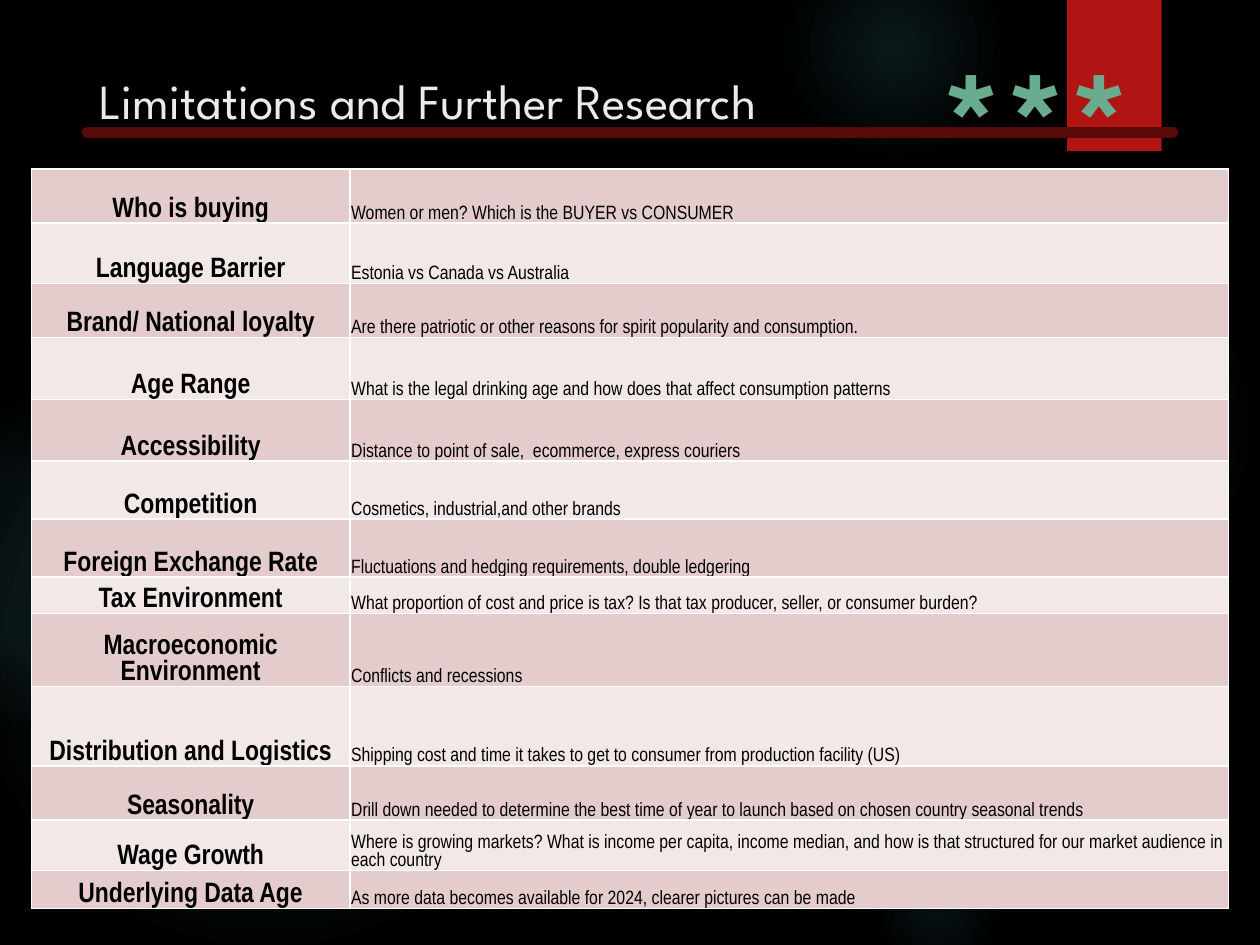
from lxml.etree import SubElement
from pptx import Presentation
from pptx.dml.color import RGBColor
from pptx.enum.shapes import MSO_CONNECTOR, MSO_SHAPE
from pptx.enum.text import MSO_ANCHOR, PP_ALIGN
from pptx.oxml import parse_xml
from pptx.oxml.ns import nsdecls, qn
from pptx.util import Inches, Pt

COLORS = {
    "background": "000000", "glow": "50B9C1", "ribbon": "B01513",
    "rule": "580A09", "title": "EBEBEB", "stars": "6AAC90",
    "odd": "E4CCCC", "even": "F2E8E7", "text": "000000", "border": "FFFFFF",
}
HEADING_FONT, TABLE_FONT = "League Spartan", "Arial Narrow"
WIDTH, HEIGHT = 10, 7.5
MARGIN, TABLE_TOP = 0.25, 1.34
RULE_INSET, RULE_Y = 0.69, 1.05
TOPIC_SHARE = 0.266

# left, top, diameter, then (position, opacity) stops in percent
GLOWS = [
    (6.89, 1.83, 3.08, [(0, 7), (36, 6), (69, 0)]),
    (6.22, -0.5, 1.75, [(0, 14), (36, 7), (73, 0)]),
    (6.89, 6.67, 1.08, [(0, 9), (36, 5), (66, 0)]),
    (-0.17, 2.92, 4.58, [(0, 11), (36, 10), (75, 0)]),
    (-0.92, 3.17, 2.58, [(0, 8), (36, 8), (72, 0)]),
]

# topic, question, row height
LIMITATIONS = [
    ("Who is buying", "Women or men? Which is the BUYER vs CONSUMER", 0.43),
    ("Language Barrier", "Estonia vs Canada vs Australia", 0.48),
    ("Brand/ National loyalty",
     "Are there patriotic or other reasons for spirit popularity and consumption.", 0.43),
    ("Age Range",
     "What is the legal drinking age and how does that affect consumption patterns", 0.49),
    ("Accessibility", "Distance to point of sale,  ecommerce, express couriers", 0.49),
    ("Competition", "Cosmetics, industrial,and other brands", 0.46),
    ("Foreign Exchange Rate", "Fluctuations and hedging requirements, double ledgering", 0.46),
    ("Tax Environment",
     "What proportion of cost and price is tax? Is that tax producer, seller, "
     "or consumer burden?", 0.29),
    ("Macroeconomic Environment", "Conflicts and recessions", 0.58),
    ("Distribution and Logistics",
     "Shipping cost and time it takes to get to consumer from production facility (US)", 0.63),
    ("Seasonality",
     "Drill down needed to determine the best time of year to launch based on "
     "chosen country seasonal trends", 0.43),
    ("Wage Growth",
     "Where is growing markets? What is income per capita, income median, and how is "
     "that structured for our market audience in each country", 0.4),
    ("Underlying Data Age",
     "As more data becomes available for 2024, clearer pictures can be made", 0.3),
]


def color(name):
    return RGBColor.from_string(COLORS[name])


def set_font(paragraph, name, size, color_name, bold=False):
    font = paragraph.font
    font.name, font.size, font.bold = name, Pt(size), bold
    font.color.rgb = color(color_name)


def add_glow(slide, left, top, diameter, stops):
    glow = slide.shapes.add_shape(
        MSO_SHAPE.OVAL, *map(Inches, (left, top, diameter, diameter)))
    stop_xml = "".join(
        f'<a:gs pos="{position * 1000}"><a:srgbClr val="{COLORS["glow"]}">'
        f'<a:alpha val="{opacity * 1000}"/></a:srgbClr></a:gs>'
        for position, opacity in stops)
    glow._element.spPr.append(parse_xml(
        f'<a:gradFill {nsdecls("a")}><a:gsLst>{stop_xml}</a:gsLst><a:path path="circle">'
        '<a:fillToRect l="50000" t="50000" r="50000" b="50000"/></a:path></a:gradFill>'))
    glow.line.fill.background()
    glow.shadow.inherit = False


def add_ribbon(slide):
    ribbon = slide.shapes.add_shape(
        MSO_SHAPE.RECTANGLE, *map(Inches, (8.47, 0, 0.75, 1.2)))
    ribbon.fill.solid()
    ribbon.fill.fore_color.rgb = color("ribbon")
    ribbon.line.fill.background()
    ribbon._element.spPr.append(parse_xml(
        f'<a:effectLst {nsdecls("a")}><a:outerShdw blurRad="{Pt(3)}" dist="{Pt(2)}" '
        'dir="5400000" rotWithShape="0"><a:srgbClr val="000000"><a:alpha val="45000"/>'
        '</a:srgbClr></a:outerShdw></a:effectLst>'))


def add_heading(slide, text, place, size, color_name, bold=False, wrap=True):
    box = slide.shapes.add_textbox(*map(Inches, place))
    frame = box.text_frame
    frame.word_wrap = wrap
    frame.text = text
    set_font(frame.paragraphs[0], HEADING_FONT, size, color_name, bold)
    return frame


def add_rule(slide):
    rule = slide.shapes.add_connector(
        MSO_CONNECTOR.STRAIGHT,
        *map(Inches, (WIDTH - RULE_INSET, RULE_Y, RULE_INSET, RULE_Y)))
    rule.line.color.rgb = color("rule")
    rule.line.width = Pt(6)
    rule.line._ln.set("cap", "rnd")
    SubElement(rule._element.spPr, qn("a:effectLst"))


def style_cell(cell, text, fill, size, bold, align):
    cell.text = text
    cell.vertical_anchor = MSO_ANCHOR.BOTTOM
    cell.margin_left = cell.margin_right = cell.margin_top = Inches(0.01)
    cell.margin_bottom = 0
    paragraph = cell.text_frame.paragraphs[0]
    paragraph.alignment = align
    set_font(paragraph, TABLE_FONT, size, "text", bold)
    properties = cell._tc.get_or_add_tcPr()
    for side in "LRTB":
        properties.append(parse_xml(
            f'<a:ln{side} {nsdecls("a")} w="{Pt(1)}"><a:solidFill>'
            f'<a:srgbClr val="{COLORS["border"]}"/></a:solidFill></a:ln{side}>'))
    cell.fill.solid()
    cell.fill.fore_color.rgb = color(fill)


def add_limitations(slide):
    table_width = WIDTH - 2 * MARGIN
    table_height = sum(height for _, _, height in LIMITATIONS)
    table = slide.shapes.add_table(
        len(LIMITATIONS), 2,
        *map(Inches, (MARGIN, TABLE_TOP, table_width, table_height))).table
    for column, share in zip(table.columns, (TOPIC_SHARE, 1 - TOPIC_SHARE)):
        column.width = Inches(table_width * share)
    for index, (topic, question, height) in enumerate(LIMITATIONS):
        table.rows[index].height = Inches(height)
        fill = "even" if index % 2 else "odd"
        style_cell(table.cell(index, 0), topic, fill, 16, True, PP_ALIGN.CENTER)
        style_cell(table.cell(index, 1), question, fill, 11, False, PP_ALIGN.LEFT)


def main():
    deck = Presentation()
    deck.slide_width, deck.slide_height = Inches(WIDTH), Inches(HEIGHT)
    slide = deck.slides.add_slide(deck.slide_layouts[6])
    slide.background.fill.solid()
    slide.background.fill.fore_color.rgb = color("background")
    for glow in GLOWS:
        add_glow(slide, *glow)
    add_ribbon(slide)
    title = add_heading(slide, "Limitations and Further Research",
                        (RULE_INSET, 0.42, WIDTH - 2 * RULE_INSET, 0.74), 28, "title")
    title.vertical_anchor = MSO_ANCHOR.MIDDLE
    add_rule(slide)
    add_limitations(slide)
    stars = add_heading(slide, "***", (7.31, 0.17, 1.83, 1.58), 88, "stars",
                        bold=True, wrap=False)
    stars.paragraphs[0].alignment = PP_ALIGN.CENTER
    deck.save("out.pptx")


if __name__ == "__main__":
    main()
